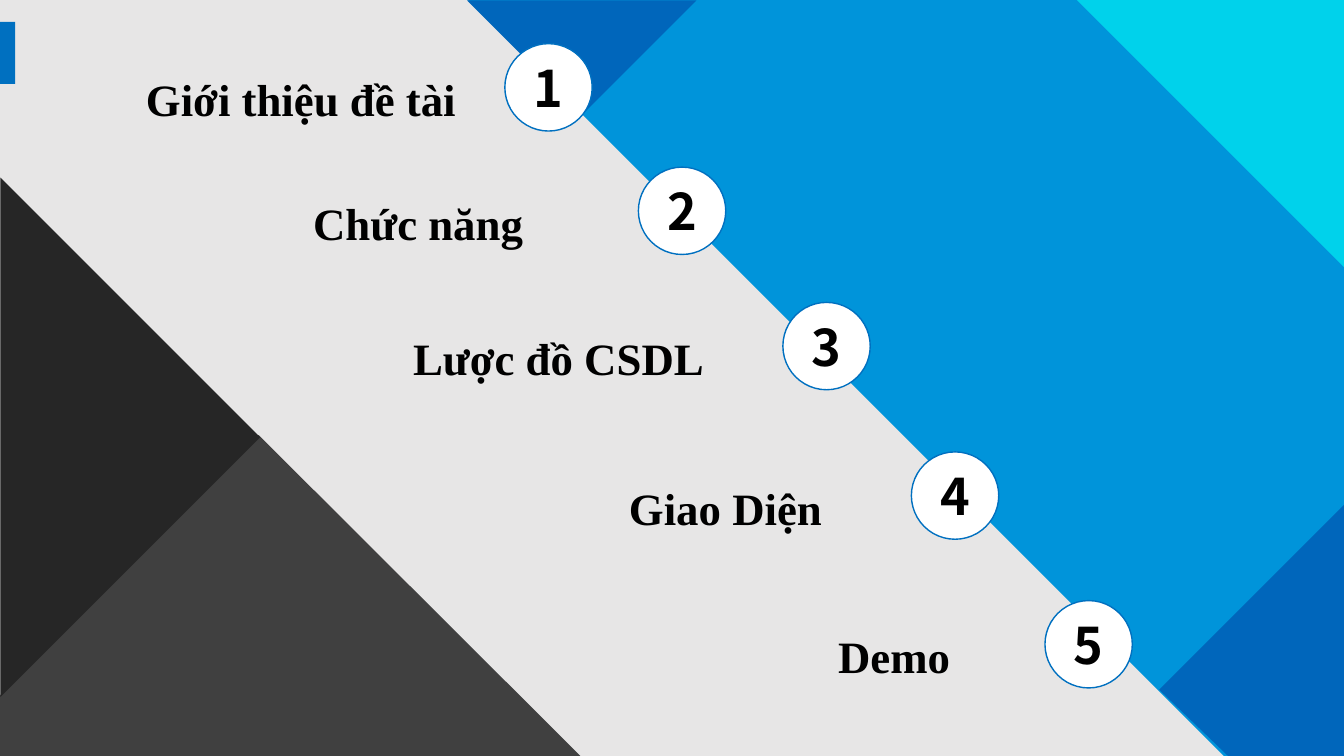
from dataclasses import dataclass

from pptx import Presentation
from pptx.dml.color import RGBColor
from pptx.enum.shapes import MSO_SHAPE
from pptx.enum.text import MSO_ANCHOR, MSO_AUTO_SIZE, PP_ALIGN
from pptx.shapes.autoshape import Shape
from pptx.slide import Slide
from pptx.text.text import TextFrame
from pptx.util import Inches, Pt

SLIDE_WIDTH, SLIDE_HEIGHT = Inches(13.333), Inches(7.5)
COLUMNS, ROWS = 16, 9


@dataclass(frozen=True)
class Theme:
    background: str = "E7E6E6"
    sky: str = "0094DA"
    cyan: str = "00D2EB"
    royal: str = "0066BB"
    accent: str = "0070C0"
    charcoal: str = "262626"
    grey: str = "404040"
    white: str = "FFFFFF"
    ink: str = "000000"
    topic_font: str = "Times New Roman"
    number_font: str = "Noto Sans CJK SC"
    topic_size: int = 32
    number_size: int = 36


THEME = Theme()


@dataclass(frozen=True)
class Panel:
    corners: tuple[tuple[float, float], ...]
    color: str


@dataclass(frozen=True)
class Wedge:
    left: float
    top: float
    side: float
    rotation: int
    color: str


@dataclass(frozen=True)
class Topic:
    wording: str
    label_left: float
    label_width: float
    badge_left: float
    badge_top: float


PANELS = (
    Panel(((5.57, 0), (16, 0), (16, 9), (14.57, 9)), THEME.sky),
    Panel(((16, 6.01), (16, 9), (14.62, 9), (13.8, 8.21)), THEME.royal),
    Panel(((3.08, 5.18), (6.91, 9), (0, 9), (0, 8.28)), THEME.grey),
)
WEDGES = (
    Wedge(12.82, 0, 3.18, 180, THEME.cyan),
    Wedge(5.96, -0.96, 1.93, 315, THEME.royal),
    Wedge(-2.18, 3.02, 4.37, 225, THEME.charcoal),
)
TOPICS = (
    Topic("Giới thiệu đề tài", 1.62, 4.46, 6.01, 0.52),
    Topic("Chức năng", 3.61, 3.19, 7.6, 1.99),
    Topic("Lược đồ CSDL", 4.8, 3.95, 9.32, 3.6),
    Topic("Giao Diện", 7.37, 2.82, 10.85, 5.38),
    Topic("Demo", 9.86, 1.82, 12.44, 7.15),
)
BADGE_SIZE = 1.04
LABEL_DROP = 0.28
LABEL_HEIGHT = 0.77


def col(columns: float) -> int:
    return round(columns * SLIDE_WIDTH / COLUMNS)


def row(rows: float) -> int:
    return round(rows * SLIDE_HEIGHT / ROWS)


def paint(shape: Shape, color: str) -> None:
    shape.shadow.inherit = False
    shape.fill.solid()
    shape.fill.fore_color.rgb = RGBColor.from_string(color)
    shape.line.fill.background()


def add_preset(slide: Slide, preset: MSO_SHAPE, left: float, top: float,
               width: float, height: float, color: str) -> Shape:
    shape = slide.shapes.add_shape(
        preset, col(left), row(top), col(width), row(height))
    paint(shape, color)
    return shape


def add_panel(slide: Slide, panel: Panel) -> None:
    start, *others = [(col(x), row(y)) for x, y in panel.corners]
    outline = slide.shapes.build_freeform(*start)
    outline.add_line_segments(others, close=True)
    paint(outline.convert_to_shape(), panel.color)


def add_wedge(slide: Slide, wedge: Wedge) -> None:
    triangle = add_preset(slide, MSO_SHAPE.RIGHT_TRIANGLE, wedge.left,
                          wedge.top, wedge.side, wedge.side, wedge.color)
    triangle.rotation = wedge.rotation


def write(frame: TextFrame, wording: str, font_name: str, size: int,
          alignment: PP_ALIGN) -> None:
    paragraph = frame.paragraphs[0]
    paragraph.text = wording
    paragraph.alignment = alignment
    paragraph.font.name = font_name
    paragraph.font.size = Pt(size)
    paragraph.font.bold = True
    paragraph.font.color.rgb = RGBColor.from_string(THEME.ink)


def add_topic(slide: Slide, number: int, topic: Topic) -> None:
    """Draw a topic's label and its numbered badge on the diagonal."""
    label = slide.shapes.add_textbox(
        col(topic.label_left), row(topic.badge_top + LABEL_DROP),
        col(topic.label_width), row(LABEL_HEIGHT)).text_frame
    label.word_wrap = True
    label.auto_size = MSO_AUTO_SIZE.SHAPE_TO_FIT_TEXT
    write(label, topic.wording, THEME.topic_font, THEME.topic_size,
          PP_ALIGN.LEFT)

    badge = add_preset(slide, MSO_SHAPE.OVAL, topic.badge_left,
                       topic.badge_top, BADGE_SIZE, BADGE_SIZE, THEME.white)
    badge.line.color.rgb = RGBColor.from_string(THEME.accent)
    badge.line.width = Pt(1)
    inside = badge.text_frame
    inside.margin_left = inside.margin_right = 0
    inside.margin_top = inside.margin_bottom = 0
    inside.word_wrap = False
    inside.vertical_anchor = MSO_ANCHOR.MIDDLE
    write(inside, str(number), THEME.number_font, THEME.number_size,
          PP_ALIGN.CENTER)


def main() -> None:
    presentation = Presentation()
    presentation.slide_width = SLIDE_WIDTH
    presentation.slide_height = SLIDE_HEIGHT
    slide = presentation.slides.add_slide(presentation.slide_layouts[6])
    slide.background.fill.solid()
    slide.background.fill.fore_color.rgb = RGBColor.from_string(
        THEME.background)

    add_preset(slide, MSO_SHAPE.RECTANGLE, 0, 0.26, 0.18, 0.74, THEME.accent)
    for panel in PANELS:
        add_panel(slide, panel)
    for wedge in WEDGES:
        add_wedge(slide, wedge)
    for number, topic in enumerate(TOPICS, start=1):
        add_topic(slide, number, topic)

    presentation.save("out.pptx")


if __name__ == "__main__":
    main()
